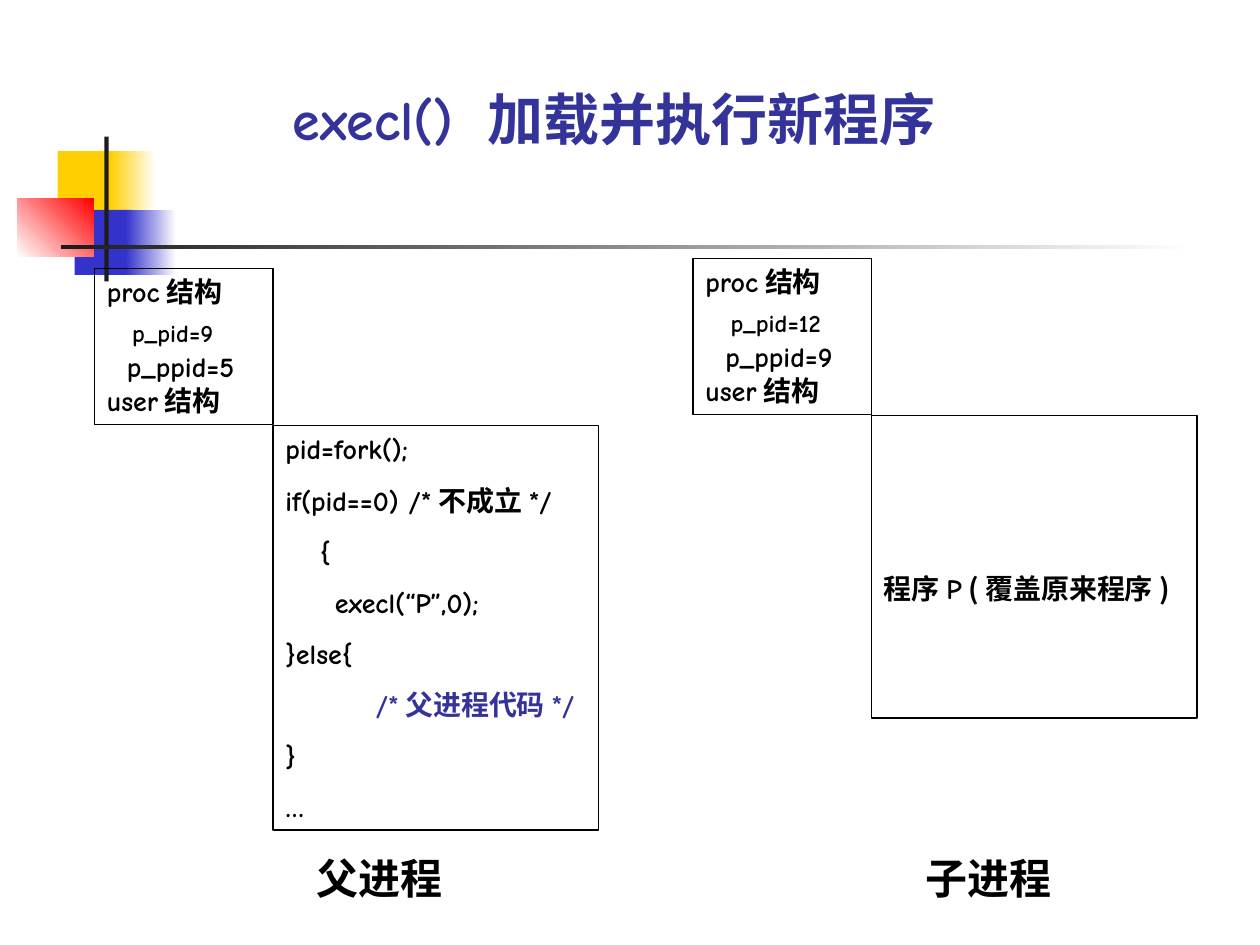
from dataclasses import dataclass

from lxml import etree
from pptx import Presentation
from pptx.dml.color import RGBColor
from pptx.enum.shapes import MSO_SHAPE
from pptx.enum.text import MSO_ANCHOR, PP_ALIGN
from pptx.oxml.ns import qn
from pptx.util import Inches, Length, Pt

RECTANGLE = MSO_SHAPE.RECTANGLE
TOP = MSO_ANCHOR.TOP
LEFT, CENTER = PP_ALIGN.LEFT, PP_ALIGN.CENTER

BLACK = RGBColor(0x00, 0x00, 0x00)
WHITE = RGBColor(0xFF, 0xFF, 0xFF)
INDIGO = RGBColor(0x33, 0x33, 0x99)
YELLOW = RGBColor(0xFF, 0xCF, 0x01)
BLUE = RGBColor(0x33, 0x33, 0xCC)
RED = RGBColor(0xFF, 0x00, 0x00)
CHARCOAL = RGBColor(0x1C, 0x1C, 0x1C)

COMIC = "Comic Neue"
CHINESE = "Noto Sans CJK SC"
TIMES = "Times New Roman"

SLIDE_WIDTH, SLIDE_HEIGHT = Inches(10), Inches(7.5)
COLUMNS, ROWS = 120, 90
BOX_WIDTH, PROC_HEIGHT = 17, 14.9
PROGRAM_WIDTH = 31
PROGRAM_DROP = 15  # rows from the top of a process box to its program


@dataclass(frozen=True)
class Area:
    """Place and size in grid columns and rows."""
    column: float
    row: float
    width: float
    height: float


@dataclass(frozen=True)
class Piece:
    text: str
    size: float = 16
    font: str = COMIC
    color: RGBColor = BLACK


@dataclass(frozen=True)
class Line:
    pieces: tuple[Piece, ...]
    before: float = 0
    after: float = 0
    indent: float = 0
    align: PP_ALIGN = LEFT


@dataclass(frozen=True)
class Block:
    area: Area
    start: RGBColor
    end: RGBColor | None = None
    angle: float = 0


@dataclass(frozen=True)
class Process:
    name: str
    column: float
    row: float
    pid: int
    parent_pid: int
    program: tuple[Line, ...]
    program_height: float
    label_column: float
    program_inset: float = 0.05


ORNAMENTS = (
    Block(Area(5.5, 14.4, 5.8, 6.2), YELLOW),
    Block(Area(10.5, 14.4, 4.3, 6.2), YELLOW, WHITE),
    Block(Area(7.1, 20, 5.5, 6.2), BLUE),
    Block(Area(12, 20, 4.8, 6.2), BLUE, WHITE),
    Block(Area(1.65, 18.95, 7.3, 5.5), WHITE, RED, 45),
    Block(Area(9.95, 13, 0.4, 13.8), CHARCOAL),
    Block(Area(5.8, 23.35, 108, 0.4), CHARCOAL, WHITE),
)

PARENT_CODE = (
    (Piece("pid=fork();"),),
    (Piece("if(pid==0) /*不成立*/"),),
    (Piece("　{"),),
    (Piece("     execl(“P”,0);"),),
    (Piece("}else{"),),
    (Piece("　　　"), Piece("/*父进程代码*/", color=INDIGO)),
    (Piece("}"),),
    (Piece("…"),),
)
CHILD_PROGRAM = (
    Piece("程序", font=CHINESE),
    Piece("P"),
    Piece(" (覆盖原来程序)", font=CHINESE),
)

PROCESSES = (
    Process("父进程", 9, 25.55, 9, 5,
            tuple(Line(pieces, before=10 if index else 0)
                  for index, pieces in enumerate(PARENT_CODE)),
            38.5, 29),
    Process("子进程", 66, 24.6, 12, 9, (Line(CHILD_PROGRAM),),
            28.8, 87, program_inset=1.24),
)


def bounds(area: Area) -> tuple[Length, ...]:
    x_unit, y_unit = SLIDE_WIDTH / COLUMNS, SLIDE_HEIGHT / ROWS
    return (Length(area.column * x_unit), Length(area.row * y_unit),
            Length(area.width * x_unit), Length(area.height * y_unit))


def draw_block(slide, block: Block) -> None:
    shape = slide.shapes.add_shape(RECTANGLE, *bounds(block.area))
    shape.shadow.inherit = False
    shape.line.fill.background()
    if block.end is None:
        shape.fill.solid()
        shape.fill.fore_color.rgb = block.start
        return
    shape.fill.gradient()
    shape.fill.gradient_angle = block.angle
    for stop, color in zip(shape.fill.gradient_stops, (block.start, block.end)):
        stop.color.rgb = color


def write_lines(text_frame, lines: tuple[Line, ...], top_inset: float = 0.05) -> None:
    text_frame.word_wrap = True
    text_frame.vertical_anchor = TOP
    text_frame.margin_top = Inches(top_inset)
    for index, line in enumerate(lines):
        paragraph = text_frame.add_paragraph() if index else text_frame.paragraphs[0]
        paragraph.alignment = line.align
        paragraph.space_before = Pt(line.before)
        paragraph.space_after = Pt(line.after)
        if line.indent:
            paragraph._p.get_or_add_pPr().set("marL", str(Inches(line.indent)))
        for piece in line.pieces:
            run = paragraph.add_run()
            run.text = piece.text
            run.font.size = Pt(piece.size)
            run.font.bold = True
            run.font.name = piece.font
            run.font.color.rgb = piece.color
            east_asian = etree.Element(qn("a:ea"), typeface=CHINESE)
            run.font._element.find(qn("a:latin")).addnext(east_asian)


def draw_box(slide, area: Area, lines: tuple[Line, ...], top_inset: float = 0.05) -> None:
    shape = slide.shapes.add_shape(RECTANGLE, *bounds(area))
    shape.shadow.inherit = False
    shape.fill.background()
    shape.line.color.rgb = BLACK
    shape.line.width = Pt(0.75)
    write_lines(shape.text_frame, lines, top_inset)


def draw_text(slide, area: Area, line: Line) -> None:
    write_lines(slide.shapes.add_textbox(*bounds(area)).text_frame, (line,))


def draw_process(slide, process: Process) -> None:
    """Draw the process structures, the program beside them and the label."""
    structures = (
        Line((Piece("proc结构"),)),
        Line((Piece(f"p_pid={process.pid}", 14),), before=5.5, after=1.4, indent=0.2),
        Line((Piece(f"p_ppid={process.parent_pid}"),), indent=0.16),
        Line((Piece("user结构"),)),
    )
    program_area = Area(process.column + BOX_WIDTH, process.row + PROGRAM_DROP,
                        PROGRAM_WIDTH, process.program_height)
    draw_box(slide, program_area, process.program, process.program_inset)
    draw_box(slide, Area(process.column, process.row, BOX_WIDTH, PROC_HEIGHT), structures)
    draw_text(slide, Area(process.label_column, 80.6, 15, 6),
              Line((Piece(process.name, 24, TIMES),)))


def main() -> None:
    presentation = Presentation()
    presentation.slide_width, presentation.slide_height = SLIDE_WIDTH, SLIDE_HEIGHT
    slide = presentation.slides.add_slide(presentation.slide_layouts[6])
    for block in ORNAMENTS:
        draw_block(slide, block)
    for process in PROCESSES:
        draw_process(slide, process)
    title = (Piece("execl() ", 32, COMIC, INDIGO),
             Piece("加载并执行新程序", 32, TIMES, INDIGO))
    draw_text(slide, Area(9, 7.5, 99, 7.7), Line(title, align=CENTER))
    presentation.save("out.pptx")


if __name__ == "__main__":
    main()
